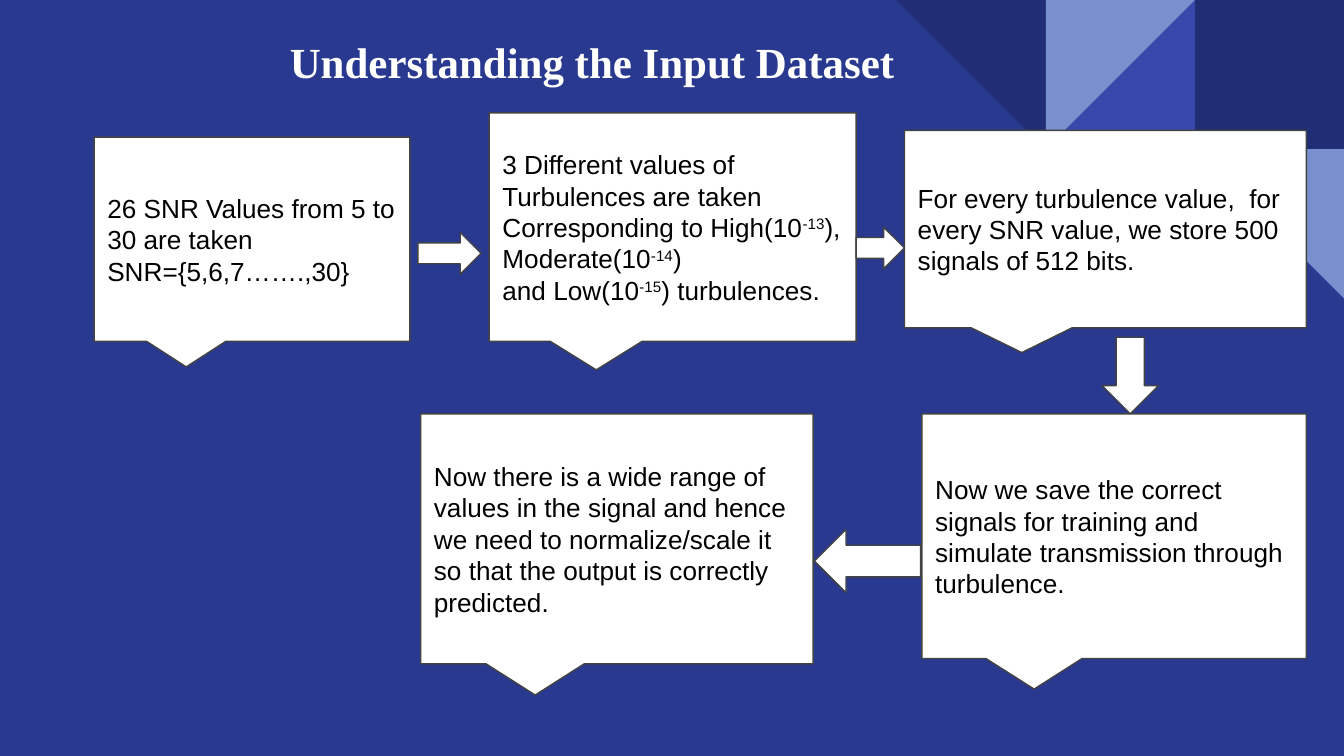
import pptx
import pptx.dml.color
import pptx.enum.shapes
import pptx.enum.text
import pptx.util

Inches = pptx.util.Inches
Pt = pptx.util.Pt
SHAPE = pptx.enum.shapes.MSO_SHAPE
COLORS = {
    "background": "2A3990",
    "navy": "212D74",
    "indigo": "3949AB",
    "sky": "7890CD",
    "white": "FFFFFF",
    "outline": "434343",
    "black": "000000",
}
TILE = 1.11
TILES = [
    (SHAPE.RECTANGLE, 8.89, 0, 0, "navy"),
    (SHAPE.RIGHT_TRIANGLE, 7.78, 0, 270, "indigo"),
    (SHAPE.RIGHT_TRIANGLE, 7.78, 0, 90, "sky"),
    (SHAPE.RIGHT_TRIANGLE, 6.67, 0, 180, "navy"),
    (SHAPE.RIGHT_TRIANGLE, 8.89, TILE, 180, "sky"),
]
CALLOUTS = [
    ((0.7, 1.02, 2.35, 1.52), [
        ["26 SNR Values from 5 to 30 are taken"],
        ["SNR={5,6,7…….,30}"],
    ]),
    ((3.64, 0.84, 2.73, 1.7), [
        ["3 Different values of Turbulences are taken"],
        ["Corresponding to High(10", "-13", "), Moderate(10", "-14", ")"],
        ["and Low(10", "-15", ") turbulences."],
    ]),
    ((6.73, 0.97, 2.99, 1.47), [
        ["For every turbulence value,  for every SNR value, "
         "we store 500 signals of 512 bits."],
    ]),
    ((6.86, 3.08, 2.86, 1.82), [
        ["Now we save the correct signals for training and "
         "simulate transmission through turbulence."],
    ]),
    ((3.13, 3.08, 2.92, 1.86), [
        ["Now there is a wide range of values in the signal and hence we need "
         "to normalize/scale it so that the output is correctly predicted."],
    ]),
]
ARROWS = [
    (SHAPE.RIGHT_ARROW, (3.11, 1.73, 0.47, 0.31)),
    (SHAPE.RIGHT_ARROW, (6.37, 1.69, 0.36, 0.31)),
    (SHAPE.DOWN_ARROW, (8.2, 2.51, 0.42, 0.57)),
    (SHAPE.LEFT_ARROW, (6.06, 3.94, 0.79, 0.47)),
]


def color(name):
    return pptx.dml.color.RGBColor.from_string(COLORS[name])


def add_shape(page, kind, bounds, fill, outlined=True):
    shape = page.shapes.add_shape(kind, *map(Inches, bounds))
    shape.shadow.inherit = False
    shape.fill.solid()
    shape.fill.fore_color.rgb = color(fill)
    if outlined:
        shape.line.color.rgb = color("outline")
        shape.line.width = Pt(0.75)
    else:
        shape.line.fill.background()
    return shape


def prepare_frame(shape):
    frame = shape.text_frame
    frame.word_wrap = True
    frame.vertical_anchor = pptx.enum.text.MSO_ANCHOR.MIDDLE
    frame.margin_left = frame.margin_right = Inches(0.1)
    frame.margin_top = frame.margin_bottom = Inches(0.1)
    return frame


def format_span(span, font, size, ink, bold=False):
    span.font.name = font
    span.font.size = Pt(size)
    span.font.bold = bold
    span.font.color.rgb = color(ink)


def add_callout(page, bounds, paragraphs):
    callout = add_shape(page, SHAPE.ROUNDED_RECTANGULAR_CALLOUT, bounds, "white")
    for index, value in enumerate((-0.208, 0.625, 0)):
        callout.adjustments[index] = value
    frame = prepare_frame(callout)
    for index, texts in enumerate(paragraphs):
        para = frame.add_paragraph() if index else frame.paragraphs[0]
        para.alignment = pptx.enum.text.PP_ALIGN.LEFT
        for text in texts:
            span = para.add_run()
            span.text = text
            format_span(span, "Arial", 14, "black")
            if text.startswith("-"):
                span.font._element.set("baseline", "30000")


def add_title(page, bounds, text):
    box = page.shapes.add_textbox(*map(Inches, bounds))
    frame = prepare_frame(box)
    frame.text = text
    para = frame.paragraphs[0]
    para.alignment = pptx.enum.text.PP_ALIGN.CENTER
    format_span(para.runs[0], "Times New Roman", 23, "white", bold=True)


def main():
    deck = pptx.Presentation()
    deck.slide_width = Inches(10)
    deck.slide_height = Inches(10 * 9 / 16)
    page = deck.slides.add_slide(deck.slide_layouts[6])
    page.background.fill.solid()
    page.background.fill.fore_color.rgb = color("background")
    for kind, left, top, rotation, fill in TILES:
        tile = add_shape(page, kind, (left, top, TILE, TILE), fill, outlined=False)
        tile.rotation = rotation
    for bounds, paragraphs in CALLOUTS:
        add_callout(page, bounds, paragraphs)
    for kind, bounds in ARROWS:
        add_shape(page, kind, bounds, "white")
    add_title(page, (0.28, 0.1, 8.26, 0.71), "Understanding the Input Dataset")
    deck.save("out.pptx")


if __name__ == "__main__":
    main()
